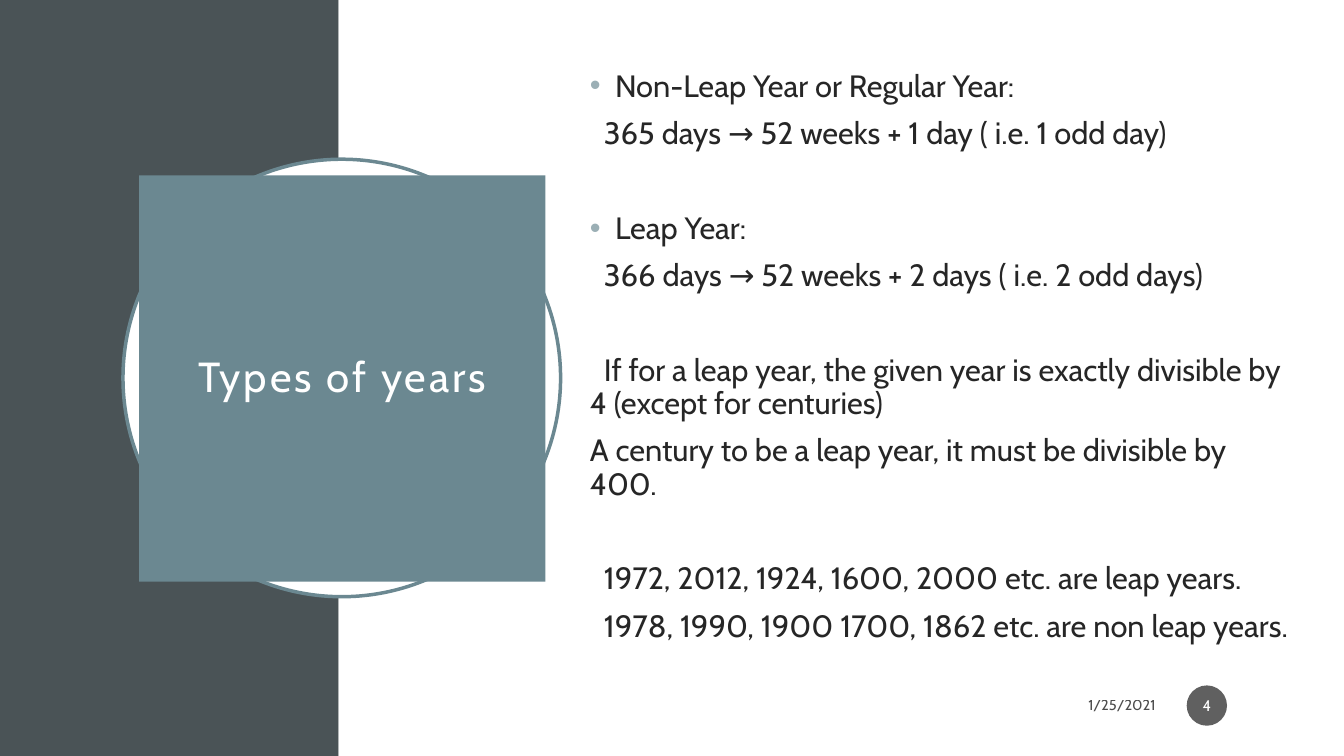
"""Build the slide that explains regular and leap years."""
from dataclasses import dataclass
from typing import Any, Optional

import lxml.etree
import pptx
import pptx.dml.color
import pptx.enum.shapes
import pptx.enum.text
import pptx.oxml
import pptx.oxml.ns
import pptx.util

Inches = pptx.util.Inches
Pt = pptx.util.Pt
Align = pptx.enum.text.PP_ALIGN
Anchor = pptx.enum.text.MSO_ANCHOR
Kind = pptx.enum.shapes.MSO_SHAPE
qn = pptx.oxml.ns.qn

FONT = "Cabin"
WHITE = "FFFFFF"
TEAL = "6B8891"
BULLET = "9BAFB5"
INK = "262626"
LINE_GAP = 10
SECTION_GAP = 44


@dataclass
class Panel:
    kind: Any
    left: float
    top: float
    width: float
    height: float
    fill: str
    outline: Optional[str] = None
    opacity: int = 100


@dataclass
class Line:
    text: str
    bullet: bool = False
    indent: float = 0.0
    gap: int = LINE_GAP


BACKDROP = [
    Panel(Kind.RECTANGLE, 0, 0, 3.36, 7.5, "4A5356"),
    Panel(Kind.RECTANGLE, 3.36, 0, 9.97, 7.5, WHITE),
    Panel(Kind.OVAL, 1.22, 1.58, 4.34, 4.34, WHITE, TEAL),
]
PAGE_BADGE = Panel(Kind.OVAL, 11.77, 6.8, 0.4, 0.4, "1D1D1D", opacity=70)

LINES = [
    Line("Non-Leap Year or Regular Year:", bullet=True, gap=0),
    Line("365 days → 52 weeks + 1 day ( i.e. 1 odd day)", indent=0.14),
    Line("Leap Year:", bullet=True, gap=SECTION_GAP),
    Line("366 days → 52 weeks + 2 days ( i.e. 2 odd days)", indent=0.14),
    Line("If for a leap year, the given year is exactly divisible by 4 (except for centuries)",
         indent=0.14, gap=SECTION_GAP),
    Line("A century to be a leap year, it must be divisible by 400."),
    Line("1972, 2012, 1924, 1600, 2000 etc. are leap years.", indent=0.14, gap=SECTION_GAP),
    Line("1978, 1990, 1900 1700, 1862 etc. are non leap years.", indent=0.14),
]


def set_color(color_format: Any, value: str, opacity: int = 100) -> None:
    color_format.rgb = pptx.dml.color.RGBColor.from_string(value)
    if opacity < 100:
        color = color_format._xFill.find(qn("a:srgbClr"))
        lxml.etree.SubElement(color, qn("a:alpha"), val=str(opacity * 1000))


def place(shape: Any, left: float, top: float, width: float, height: float) -> None:
    shape.left, shape.top = Inches(left), Inches(top)
    shape.width, shape.height = Inches(width), Inches(height)


def set_frame(frame: Any, anchor: Any, left: float, top: float, right: float, bottom: float) -> None:
    frame.word_wrap = True
    frame.auto_size = pptx.enum.text.MSO_AUTO_SIZE.NONE
    frame.vertical_anchor = anchor
    frame.margin_left, frame.margin_top = Inches(left), Inches(top)
    frame.margin_right, frame.margin_bottom = Inches(right), Inches(bottom)


def style_runs(paragraph: Any, size: float, color: str, align: Any, opacity: int = 100) -> None:
    paragraph.alignment = align
    for run in paragraph.runs:
        run.font.name = FONT
        run.font.size = Pt(size)
        run.font.fill.solid()
        set_color(run.font.fill.fore_color, color, opacity) if opacity == 100 else None
        if opacity < 100:
            run.font.fill.fore_color.rgb = pptx.dml.color.RGBColor.from_string(color)
            tint = run.font._element.find(".//" + qn("a:srgbClr"))
            lxml.etree.SubElement(tint, qn("a:alpha"), val=str(opacity * 1000))


def draw_panel(slide: Any, panel: Panel) -> Any:
    shape = slide.shapes.add_shape(panel.kind, Inches(panel.left), Inches(panel.top),
                                   Inches(panel.width), Inches(panel.height))
    shape.shadow.inherit = False
    shape.fill.solid()
    shape.fill.fore_color.rgb = pptx.dml.color.RGBColor.from_string(panel.fill)
    if panel.opacity < 100:
        tint = shape._element.spPr.find(".//" + qn("a:srgbClr"))
        lxml.etree.SubElement(tint, qn("a:alpha"), val=str(panel.opacity * 1000))
    if panel.outline:
        set_color(shape.line.color, panel.outline)
        shape.line.width = Pt(2.5)
    else:
        shape.line.fill.background()
    return shape


def write_line(paragraph: Any, line: Line) -> None:
    paragraph.text = line.text
    properties = paragraph._p.get_or_add_pPr()
    hanging = 0.25 if line.bullet else 0
    properties.set("marL", str(Inches(hanging)))
    properties.set("indent", str(Inches(line.indent - hanging)))
    if line.bullet:
        bullet_color = lxml.etree.SubElement(properties, qn("a:buClr"))
        lxml.etree.SubElement(bullet_color, qn("a:srgbClr"), val=BULLET)
        lxml.etree.SubElement(properties, qn("a:buChar"), char="•")
    else:
        lxml.etree.SubElement(properties, qn("a:buNone"))
    paragraph.line_spacing = 0.9
    paragraph.space_before = Pt(line.gap)
    style_runs(paragraph, 22, INK, Align.LEFT)


def write_title(title: Any) -> None:
    place(title, 1.38, 1.74, 4.03, 4.03)
    title.fill.solid()
    set_color(title.fill.fore_color, TEAL)
    frame = title.text_frame
    frame.text = "Types of years"
    set_frame(frame, Anchor.MIDDLE, 0.2, 0.2, 0.2, 0.2)
    heading = frame.paragraphs[0]
    heading.line_spacing = 0.9
    style_runs(heading, 30, WHITE, Align.CENTER)
    heading.runs[0].font._element.set("spc", "200")


def write_body(body: Any) -> None:
    place(body, 5.75, 0.59, 7.21, 6.21)
    frame = body.text_frame
    frame.text = "\n".join(line.text for line in LINES)
    set_frame(frame, Anchor.TOP, 0.1, 0.11, 0.1, 0.05)
    for paragraph, line in zip(frame.paragraphs, LINES):
        write_line(paragraph, line)


def write_footer(slide: Any) -> None:
    page = draw_panel(slide, PAGE_BADGE).text_frame
    page.text = "4"
    set_frame(page, Anchor.MIDDLE, 0.02, 0.05, 0.02, 0.05)
    style_runs(page.paragraphs[0], 11, WHITE, Align.CENTER)
    date = slide.shapes.add_textbox(Inches(8.55), Inches(6.82), Inches(3.01), Inches(0.35)).text_frame
    date.text = "1/25/2021"
    set_frame(date, Anchor.MIDDLE, 0.1, 0.05, 0.1, 0.05)
    style_runs(date.paragraphs[0], 10.5, "000000", Align.RIGHT, opacity=70)


def main() -> None:
    deck = pptx.Presentation()
    deck.slide_width, deck.slide_height = Inches(13.33), Inches(7.5)
    slide = deck.slides.add_slide(deck.slide_layouts[1])
    title, body = slide.shapes.title, slide.placeholders[1]
    for panel in BACKDROP:
        draw_panel(slide, panel)
    for placeholder in (title, body):
        slide.shapes._spTree.append(placeholder._element)
    write_title(title)
    write_body(body)
    write_footer(slide)
    deck.save("out.pptx")


if __name__ == "__main__":
    main()
